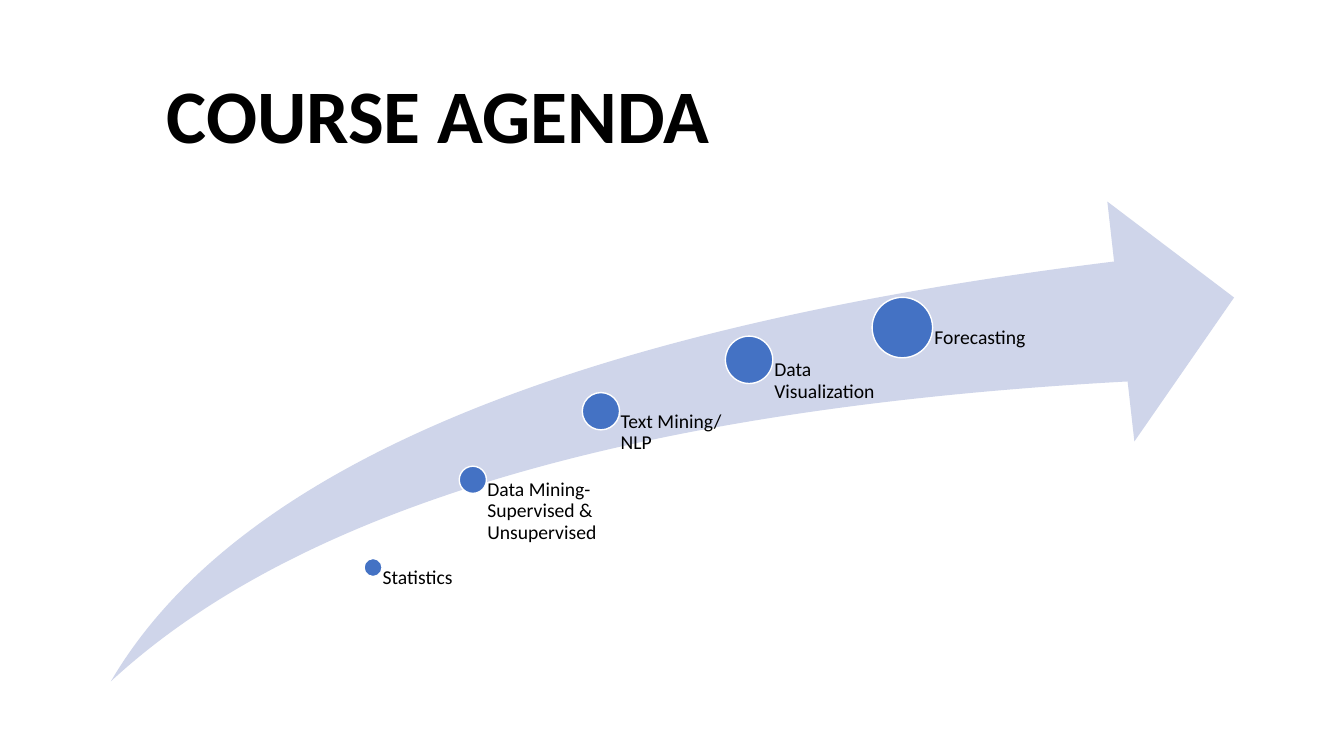
"""Build the course agenda slide: topics growing along a rising arrow."""
from pptx import Presentation
from pptx import util as u
from pptx.dml.color import RGBColor
from pptx.enum import shapes, text

BLACK = RGBColor(0x00, 0x00, 0x00)
WHITE = RGBColor(0xFF, 0xFF, 0xFF)
BLUE = RGBColor(0x44, 0x72, 0xC4)
PALE_BLUE = RGBColor(0xCF, 0xD5, 0xEA)
FONT = "Calibri"
ARROW_LEFT, ARROW_TOP, ARROW_WIDTH, ARROW_HEIGHT = 1.1, 2, 11.14, 4.76
ARROW_BOTTOM = ARROW_TOP + ARROW_HEIGHT

deck = Presentation()
deck.slide_width, deck.slide_height = u.Inches(13.33), u.Inches(7.5)
agenda = deck.slides.add_slide(deck.slide_layouts[5])

heading = agenda.shapes.title
heading.left, heading.top = u.Inches(0.92), u.Inches(0.62)
heading.width, heading.height = u.Inches(6.85), u.Inches(1.01)
heading.text_frame.text = "COURSE AGENDA"
heading.text_frame.auto_size = text.MSO_AUTO_SIZE.SHAPE_TO_FIT_TEXT
heading_line = heading.text_frame.paragraphs[0]
heading_line.alignment = text.PP_ALIGN.CENTER
heading_font = heading_line.runs[0].font
heading_font.name, heading_font.size, heading_font.bold = FONT, u.Pt(54), True
heading_font.color.rgb = BLACK

path_arrow = agenda.shapes.add_shape(
    shapes.MSO_SHAPE.SWOOSH_ARROW, u.Inches(ARROW_LEFT), u.Inches(ARROW_TOP),
    u.Inches(ARROW_WIDTH), u.Inches(ARROW_HEIGHT))
path_arrow.adjustments[0] = path_arrow.adjustments[1] = 0.25
path_arrow.shadow.inherit = False
path_arrow.fill.solid()
path_arrow.fill.fore_color.rgb = PALE_BLUE
path_arrow.line.fill.background()

topics = [
    ("Statistics", 3.7, 5.63, 0.18, 1),
    ("Data Mining- Supervised & Unsupervised", 4.69, 4.76, 0.27, 1.26),
    ("Text Mining/ NLP", 5.96, 4.08, 0.37, 1.47),
    ("Data Visualization", 7.43, 3.57, 0.47, 1.52),
    ("Forecasting", 8.95, 3.25, 0.6, 1.52),
]
for topic, center_x, center_y, diameter, label_width in topics:
    milestone = agenda.shapes.add_shape(
        shapes.MSO_SHAPE.OVAL, u.Inches(center_x - diameter / 2),
        u.Inches(center_y - diameter / 2), u.Inches(diameter), u.Inches(diameter))
    milestone.shadow.inherit = False
    milestone.fill.solid()
    milestone.fill.fore_color.rgb = BLUE
    milestone.line.color.rgb = WHITE
    milestone.line.width = u.Pt(1)

    label = agenda.shapes.add_textbox(
        u.Inches(center_x), u.Inches(center_y),
        u.Inches(label_width), u.Inches(ARROW_BOTTOM - center_y)).text_frame
    label.word_wrap = True
    label.margin_left = u.Inches(diameter * 0.53)
    label.margin_top = label.margin_right = label.margin_bottom = 0
    label.text = topic
    label_line = label.paragraphs[0]
    label_line.line_spacing = 0.9
    label_font = label_line.runs[0].font
    label_font.name, label_font.size = FONT, u.Pt(14)
    label_font.color.rgb = BLACK

deck.save("out.pptx")
